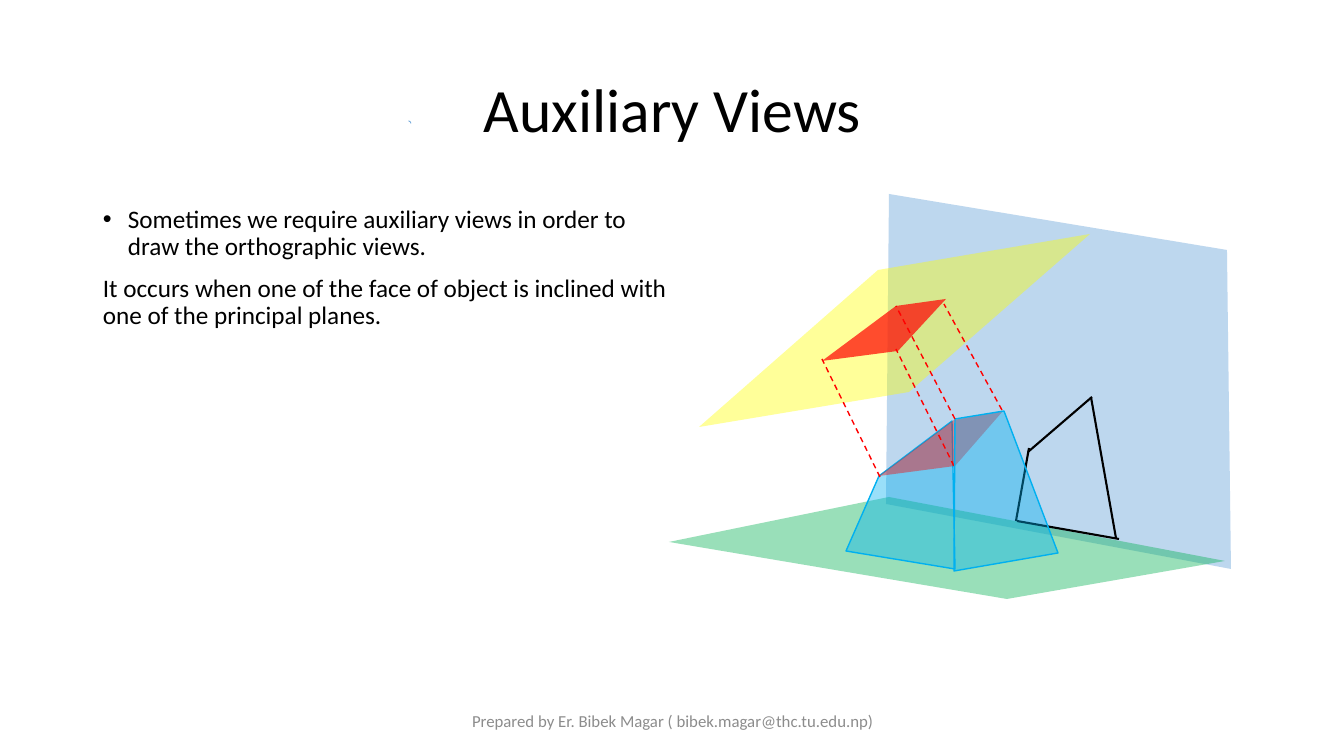
from pptx import Presentation
from pptx.dml.color import RGBColor
from pptx.enum.dml import MSO_LINE
from pptx.enum.shapes import MSO_CONNECTOR, MSO_SHAPE
from pptx.enum.text import MSO_ANCHOR, PP_ALIGN
from pptx.oxml.ns import qn
from pptx.util import Pt
from lxml import etree

EMU_PER_PX = 914400 / 100.8
SLIDE_SIZE = (1344, 756)

TITLE = "Auxiliary Views"
BULLET = "Sometimes we require auxiliary views in order to draw the orthographic views."
REMARK = "It occurs when one of the face of object is inclined with one of the principal planes."
FOOTER = "Prepared by Er. Bibek Magar ( bibek.magar@thc.tu.edu.np)"

BLUE, GREEN, SKY, YELLOW, RED, BLACK = (
    "5B9BD5", "00B050", "00B0F0", "FFFF00", "FF0000", "000000")

VERTICAL_PLANE = [(886, 504), (1231, 569), (1227, 250), (889, 194)]
GROUND_PLANE = [(1225, 561), (1007, 599), (669, 542), (889, 497)]
AUXILIARY_PLANE = [(699, 427), (878, 270), (1090, 234), (909, 392)]
LEFT_FACE = [(955, 569), (846, 551), (879, 476), (952, 421)]
RIGHT_FACE = [(954, 571), (955, 419), (1004, 411), (1058, 553)]
INCLINED_FACE = [(879, 476), (955, 466), (1003, 411), (954, 420)]
AUXILIARY_VIEW = [(822, 361), (898, 351), (946, 299), (896, 306)]
FRONT_VIEW_EDGES = [
    ((1017, 521), (1119, 539)),
    ((1016, 521), (1029, 448)),
    ((1028, 452), (1092, 397)),
    ((1091, 397), (1116, 538)),
]
PROJECTORS = [
    ((880, 477), (822, 359)),
    ((954, 466), (896, 349)),
    ((1002, 410), (944, 304)),
]
TOP_PROJECTOR = ((955, 419), (896, 306))


def px(length):
    return round(length * EMU_PER_PX)


def rgb(color):
    return RGBColor.from_string(color)


def add_text(slide, box, paragraphs, size, color=BLACK, align=PP_ALIGN.LEFT,
             anchor=MSO_ANCHOR.TOP, line_spacing=None, gap=0):
    """Add a text box from (text, is_bulleted) pairs; gap separates paragraphs."""
    frame = slide.shapes.add_textbox(*map(px, box)).text_frame
    frame.word_wrap = True
    frame.vertical_anchor = anchor
    for index, (text, bulleted) in enumerate(paragraphs):
        paragraph = frame.add_paragraph() if index else frame.paragraphs[0]
        paragraph.alignment = align
        if line_spacing:
            paragraph.line_spacing = line_spacing
        if index:
            paragraph.space_before = Pt(gap)
        if bulleted:
            properties = paragraph._p.get_or_add_pPr()
            properties.set("marL", str(px(25)))
            properties.set("indent", str(px(-25)))
            etree.SubElement(properties, qn("a:buFont")).set("typeface", "Arial")
            etree.SubElement(properties, qn("a:buChar")).set("char", "•")
        run = paragraph.add_run()
        run.text = text
        run.font.name = "Calibri"
        run.font.size = Pt(size)
        run.font.color.rgb = rgb(color)


def add_face(slide, corners, color, opacity=40, outlined=False):
    """Add a translucent polygon, opacity in percent."""
    builder = slide.shapes.build_freeform(*corners[0], scale=EMU_PER_PX)
    builder.add_line_segments(corners[1:], close=True)
    face = builder.convert_to_shape()
    face.shadow.inherit = False
    face.fill.solid()
    face.fill.fore_color.rgb = rgb(color)
    fill_color = face._element.spPr.find(qn("a:solidFill"))[0]
    etree.SubElement(fill_color, qn("a:alpha")).set("val", str(opacity * 1000))
    if outlined:
        face.line.color.rgb = rgb(color)
        face.line.width = Pt(1)
    else:
        face.line.fill.background()


def add_edge(slide, ends, color, width, dash=None):
    (x1, y1), (x2, y2) = ends
    edge = slide.shapes.add_connector(
        MSO_CONNECTOR.STRAIGHT, px(x1), px(y1), px(x2), px(y2))
    edge.line.color.rgb = rgb(color)
    edge.line.width = Pt(width)
    if dash:
        edge.line.dash_style = dash
    etree.SubElement(edge._element.spPr, qn("a:effectLst"))


def add_projector(slide, ends):
    add_edge(slide, ends, RED, 1, MSO_LINE.DASH)


def add_small_arc(slide):
    arc = slide.shapes.add_shape(MSO_SHAPE.ARC, px(406), px(121), px(5), px(5))
    arc.shadow.inherit = False
    arc.fill.background()
    arc.line.color.rgb = rgb(BLUE)
    arc.line.width = Pt(0.5)


def main():
    deck = Presentation()
    deck.slide_width, deck.slide_height = map(px, SLIDE_SIZE)
    slide = deck.slides.add_slide(deck.slide_layouts[6])

    add_text(slide, (93, 40, 1159, 146), [(TITLE, False)], 44,
             align=PP_ALIGN.CENTER, anchor=MSO_ANCHOR.MIDDLE, line_spacing=0.9)
    add_text(slide, (93, 202, 592, 480), [(BULLET, True), (REMARK, False)], 18,
             line_spacing=0.9, gap=10)
    add_text(slide, (446, 701, 454, 40), [(FOOTER, False)], 12, color="8C8C8C",
             align=PP_ALIGN.CENTER, anchor=MSO_ANCHOR.MIDDLE)

    add_face(slide, VERTICAL_PLANE, BLUE)
    add_face(slide, GROUND_PLANE, GREEN)
    add_face(slide, LEFT_FACE, SKY, outlined=True)
    add_small_arc(slide)
    for edge in FRONT_VIEW_EDGES:
        add_edge(slide, edge, BLACK, 1.5)
    add_face(slide, AUXILIARY_PLANE, YELLOW)
    for projector in PROJECTORS:
        add_projector(slide, projector)
    add_face(slide, INCLINED_FACE, RED)
    add_face(slide, RIGHT_FACE, SKY, outlined=True)
    add_face(slide, AUXILIARY_VIEW, RED, opacity=70)
    add_projector(slide, TOP_PROJECTOR)

    deck.save("out.pptx")


if __name__ == "__main__":
    main()
